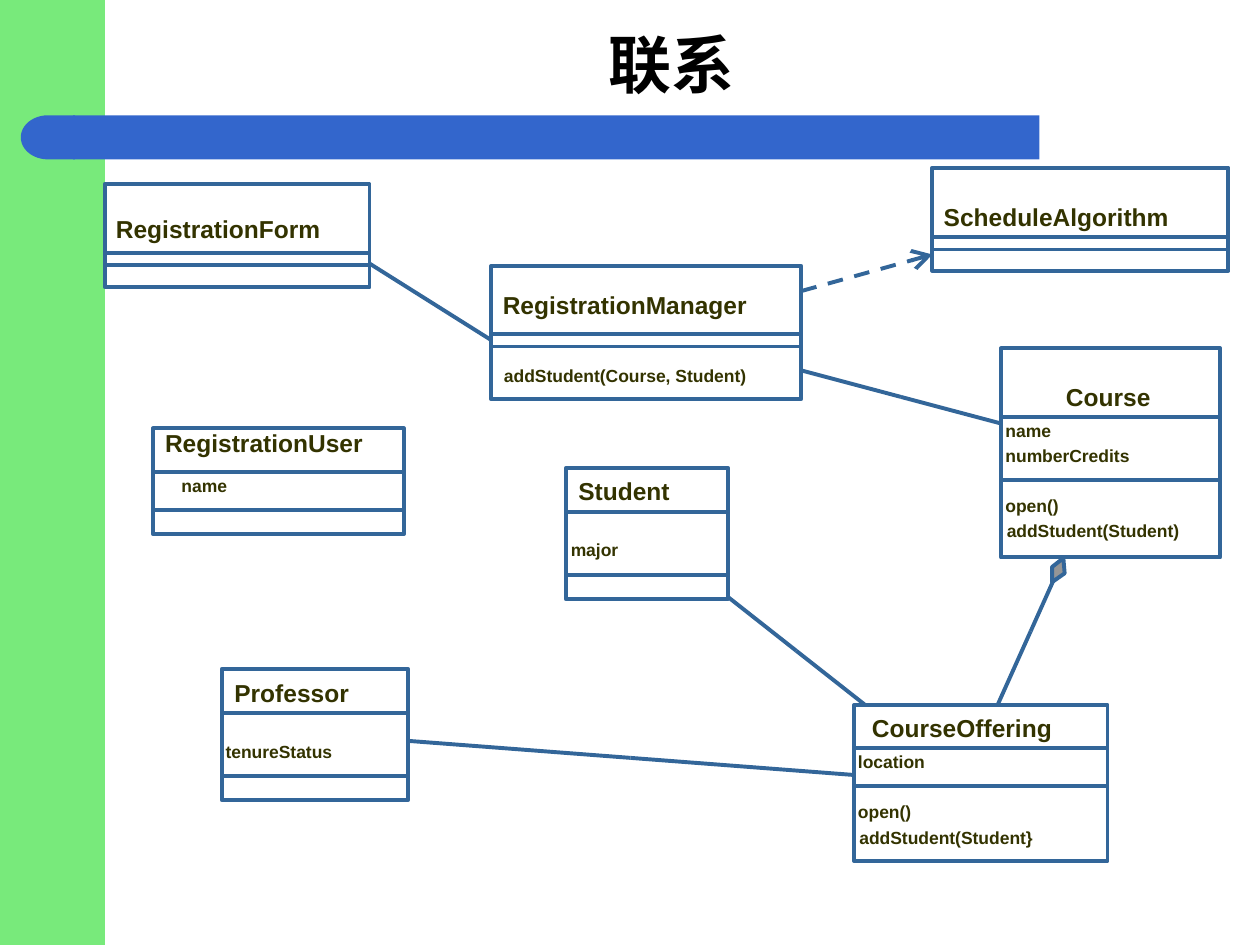
from lxml import etree
from pptx import Presentation, util as u
from pptx.dml.color import RGBColor
from pptx.enum import dml, shapes, text
from pptx.oxml.ns import qn

COLORS = {"band": "78EA7B", "bar": "3366CC", "line": "336699",
          "label": "333300", "title": "000000", "diamond": "969696"}
CELL = u.Inches(0.1)  # the slide is a grid of 100 columns and 75 rows
SLACK = 0.4           # spare columns that keep a label on one line

# name, box (column, row, columns, rows), name label (column, row, columns),
# divider rows, members (text, column, row, columns)
CLASSES = [
    ("RegistrationForm", (8.33, 14.6, 21, 8.2), (9.2, 17, 16.3), (20.05, 21.05), []),
    ("RegistrationManager", (39, 21.1, 24.6, 10.6), (39.9, 23, 19.4), (26.5, 27.5),
     [("addStudent(Course, Student)", 40, 29, 19.2)]),
    ("Course", (79.45, 27.65, 17.4, 16.6), (84.6, 30.3, 6.7), (33.1, 38.1),
     [("name", 79.8, 33.3, 3.6), ("numberCredits", 79.8, 35.3, 9.8),
      ("open()", 79.8, 39.3, 4.2), ("addStudent(Student)", 79.9, 41.3, 13.7)]),
    ("Student", (44.9, 37.15, 12.9, 10.4), (45.9, 37.8, 7.3), (40.6, 45.6),
     [("major", 45.3, 42.8, 3.8)]),
    ("CourseOffering", (67.8, 55.95, 20.1, 12.4), (69.2, 56.6, 14.3), (59.4, 62.4),
     [("location", 68.1, 59.6, 5.3), ("open()", 68.1, 63.6, 4.2),
      ("addStudent(Student}", 68.2, 65.6, 13.8)]),
    ("Professor", (17.6, 53.1, 14.8, 10.4), (18.6, 53.8, 9.1), (56.6, 61.6),
     [("tenureStatus", 17.9, 58.8, 8.5)]),
    ("ScheduleAlgorithm", (74, 13.3, 23.5, 8.2), (74.9, 16, 17.9), (18.8, 19.8), []),
    ("RegistrationUser", (12.15, 34, 19.9, 8.4), (13.1, 34, 15.7), (37.45, 40.45),
     [("name", 14.4, 37.7, 3.6)]),
]

# Both ends of each association; a single end is drawn in one piece
ASSOCIATIONS = [
    ((63.6, 29.4), (79.4, 33.6)),  # manager to course
    ((57.8, 47.4), (68.6, 55.9)),  # student to offering
    ((32.4, 58.8), (67.7, 61.5)),  # professor to offering
    ((84.4, 44.3), (79.2, 55.9)),  # course to offering
]


def grid(*cells):
    return [int(cell * CELL) for cell in cells]


def color(name):
    return RGBColor.from_string(COLORS[name])


def assign(target, values):
    for name, value in values.items():
        setattr(target, name, value)


class Diagram:
    def __init__(self, page, line_width=2.25):
        self.page = page
        self.line_width = u.Pt(line_width)

    def title(self, words, area):
        box = self.page.shapes.title
        assign(box, dict(zip(("left", "top", "width", "height"), grid(*area))))
        box.text_frame.text = words
        box.text_frame.vertical_anchor = text.MSO_ANCHOR.MIDDLE
        para = box.text_frame.paragraphs[0]
        para.alignment = text.PP_ALIGN.CENTER
        self.font(para.runs[0], "Times New Roman", 36, "title")

    def font(self, span, family, size, shade):
        assign(span.font, {"name": family, "size": u.Pt(size), "bold": True})
        span.font.color.rgb = color(shade)

    def paint(self, shape, fill=None, outline=None):
        shape.shadow.inherit = False
        if fill:
            shape.fill.solid()
            shape.fill.fore_color.rgb = color(fill)
        else:
            shape.fill.background()
        if outline:
            shape.line.color.rgb = color(outline)
            shape.line.width = self.line_width
        else:
            shape.line.fill.background()

    def block(self, area, fill=None, outline=None, kind=shapes.MSO_SHAPE.RECTANGLE):
        shape = self.page.shapes.add_shape(kind, *grid(*area))
        self.paint(shape, fill, outline)
        return shape

    def label(self, words, column, row, columns, size):
        rows = 2.3 if size == 14 else 1.7
        box = self.page.shapes.add_textbox(*grid(column, row, columns + SLACK, rows))
        frame = box.text_frame
        assign(frame, {"margin_left": 0, "margin_right": 0, "margin_top": 0,
                       "margin_bottom": 0, "word_wrap": False,
                       "auto_size": text.MSO_AUTO_SIZE.SHAPE_TO_FIT_TEXT})
        frame.text = words
        self.font(frame.paragraphs[0].runs[0], "Arial", size, "label")

    def line(self, start, end, dependency=False):
        link = self.page.shapes.add_connector(
            shapes.MSO_CONNECTOR.STRAIGHT, *grid(*start, *end))
        link.line.color.rgb = color("line")
        link.line.width = self.line_width
        if dependency:
            link.line.dash_style = dml.MSO_LINE.DASH
            etree.SubElement(link.line._get_or_add_ln(), qn("a:tailEnd"),
                             type="arrow", w="lg", len="lg")
        etree.SubElement(link._element.spPr, qn("a:effectLst"))

    def association(self, *ends):
        """Draw one role line from the middle to each end."""
        middle = [sum(values) / 2 for values in zip(*ends)]
        for end in ends:
            self.line(middle, end)

    def polygon(self, points, fill, outline):
        first, *rest = [grid(*point) for point in points]
        builder = self.page.shapes.build_freeform(*first)
        builder.add_line_segments(rest, close=True)
        self.paint(builder.convert_to_shape(), fill, outline)

    def uml_class(self, name, area, name_at, dividers, members):
        left, _, columns, _ = area
        self.block(area, outline="line")
        for row in dividers:
            self.line((left, row), (left + columns, row))
        self.label(name, *name_at, size=14)
        for member in members:
            self.label(*member, size=10)


def main():
    deck = Presentation()
    deck.slide_width, deck.slide_height = grid(100, 75)
    page = deck.slides.add_slide(deck.slide_layouts[5])
    diagram = Diagram(page)

    # Side band, and bar with a rounded left end
    diagram.block((0, 0, 8.33, 75), "band")
    diagram.block((5.8, 9.15, 76.7, 3.5), "bar")
    cap = diagram.block((1.65, 9.15, 4.3, 3.5), "bar",
                        kind=shapes.MSO_SHAPE.FLOWCHART_DELAY)
    cap.rotation = 180

    diagram.title("联系", (9.15, 1.65, 88.3, 6.7))

    # Relations between the classes
    diagram.line((39, 27), (29.3, 20.9))
    for ends in ASSOCIATIONS:
        diagram.association(*ends)
    diagram.line((63.6, 23.1), (74, 20.2), dependency=True)

    # Classes with their compartments
    for entry in CLASSES:
        diagram.uml_class(*entry)

    # Aggregation diamond below Course
    diagram.polygon([(84.4, 44.3), (84.5, 45.5), (83.5, 46.2), (83.5, 45)],
                    "diamond", "line")

    deck.save("out.pptx")


if __name__ == "__main__":
    main()
